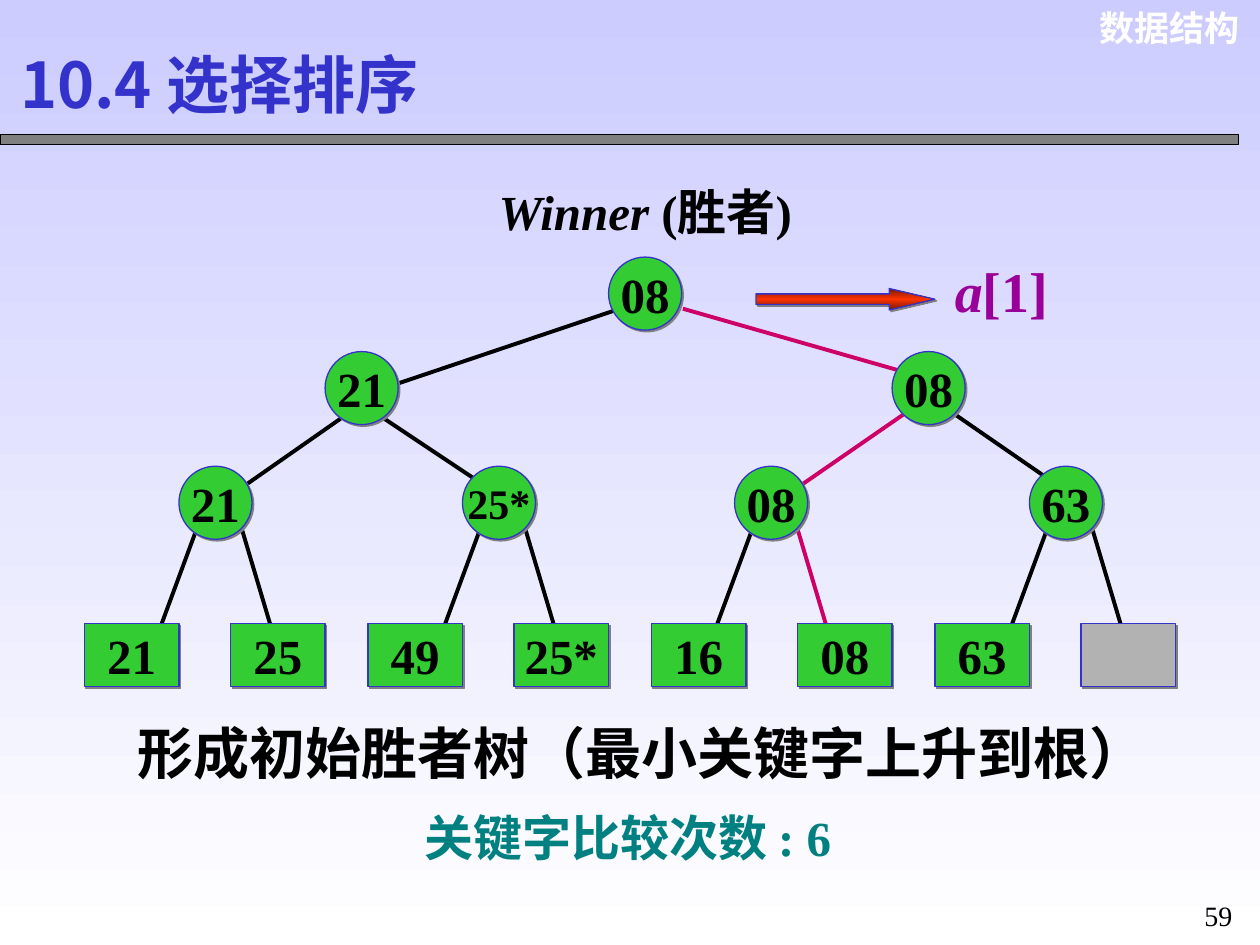
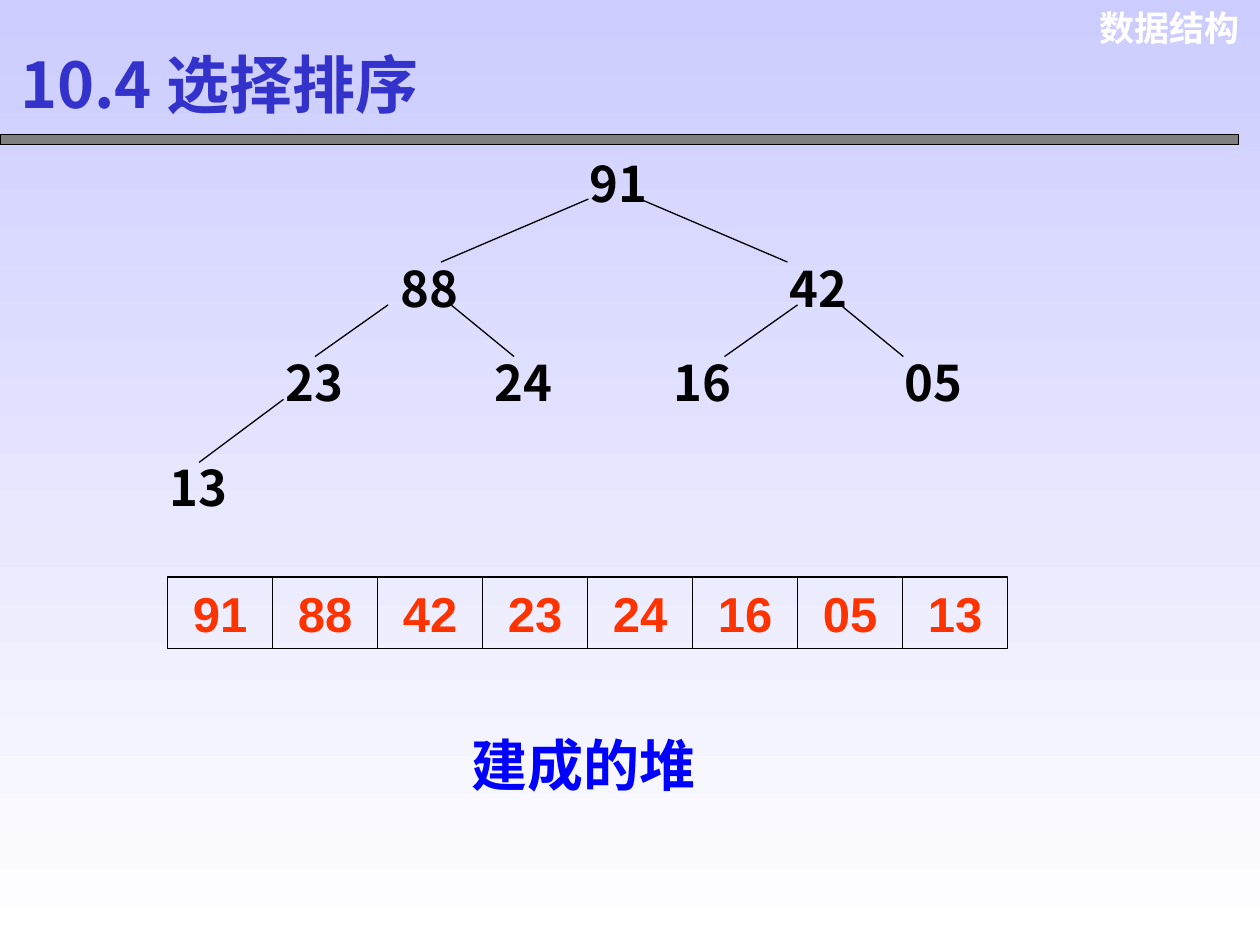
from copy import deepcopy

from lxml.etree import SubElement
from pptx import Presentation
from pptx.dml.color import RGBColor
from pptx.enum.shapes import MSO_CONNECTOR, MSO_SHAPE
from pptx.enum.text import MSO_ANCHOR, MSO_AUTO_SIZE, PP_ALIGN
from pptx.oxml.ns import qn
from pptx.util import Inches, Pt

BLACK = RGBColor(0x00, 0x00, 0x00)
WHITE = RGBColor(0xFF, 0xFF, 0xFF)
LAVENDER = RGBColor(0xCC, 0xCC, 0xFF)
INDIGO = RGBColor(0x33, 0x33, 0xCC)
BLUE = RGBColor(0x00, 0x00, 0xFF)
GREEN = RGBColor(0x33, 0xCC, 0x33)
GRAY = RGBColor(0x80, 0x80, 0x80)
EMPTY_GRAY = RGBColor(0xB2, 0xB2, 0xB2)
MAGENTA = RGBColor(0xCC, 0x00, 0x66)
PURPLE = RGBColor(0x99, 0x00, 0x99)
TEAL = RGBColor(0x00, 0x80, 0x80)
RED = RGBColor(0xFF, 0x33, 0x00)
DARK_RED = RGBColor(0x76, 0x18, 0x00)

SANS = "Noto Sans CJK SC"
SERIF = "Times New Roman"
ARIAL = "Arial"

NODE_SIZE = 0.58
LEAF_TOP, LEAF_W, LEAF_H = 4.95, 0.75, 0.5
PARENT_TOP = 3.7

# Winner tree: (left, top, key, size)
WINNER_NODES = [
    (4.83, 2.04, "08", 28),
    (2.58, 2.79, "21", 28),
    (7.08, 2.79, "08", 28),
]
LEAF_PARENTS = [(1.42, "21", 28), (3.67, "25*", 24), (5.83, "08", 28), (8.17, "63", 28)]
LEAF_KEYS = ["21", "25", "49", "25*", "16", "08", "63", ""]
WINNER_EDGES = [
    ((5.42, 2.45), (7.17, 2.95), MAGENTA),
    ((4.92, 2.45), (3.17, 3.04), BLACK),
    ((7.17, 3.29), (6.33, 3.87), MAGENTA),
    ((7.58, 3.29), (8.42, 3.87), BLACK),
    ((3, 3.29), (3.75, 3.79), BLACK),
    ((2.75, 3.29), (1.92, 3.87), BLACK),
]

# Heap: (left, top, key) in level order
HEAP_NODES = [
    (4.58, 1.17, "91"),
    (3.08, 2, "88"), (6.17, 2, "42"),
    (2.17, 2.75, "23"), (3.83, 2.75, "24"), (5.25, 2.75, "16"), (7.08, 2.75, "05"),
    (1.25, 3.58, "13"),
]
HEAP_EDGES = [
    ((4.67, 1.58), (3.5, 2.08)), ((5.08, 1.58), (6.25, 2.08)),
    ((3.08, 2.42), (2.5, 2.83)), ((3.58, 2.42), (4.08, 2.83)),
    ((6.33, 2.42), (5.75, 2.83)), ((6.67, 2.42), (7.17, 2.83)),
    ((2.25, 3.17), (1.58, 3.67)),
]


def write(tf, runs, align=PP_ALIGN.LEFT, **formats):
    """Fill the first paragraph with (text, extra formats) runs."""
    p = tf.paragraphs[0]
    p.alignment = align
    for text, extra in runs:
        r = p.add_run()
        r.text = text
        values = {"name": SERIF, "size": 28, "bold": True, "color": BLACK, **formats, **extra}
        r.font.color.rgb = values.pop("color")
        values["size"] = Pt(values["size"])
        for name, value in values.items():
            setattr(r.font, name, value)
        SubElement(r._r.get_or_add_rPr(), qn("a:ea"), typeface=SANS)
    return p


def add_text(slide, box, runs, wrap=True, **formats):
    tb = slide.shapes.add_textbox(*map(Inches, box))
    tf = tb.text_frame
    tf.word_wrap = wrap
    tf.auto_size = MSO_AUTO_SIZE.SHAPE_TO_FIT_TEXT
    if isinstance(runs, str):
        runs = [(runs, {})]
    return tf, write(tf, runs, **formats)


def add_box(slide, kind, box, fill=None, line=BLACK):
    sp = slide.shapes.add_shape(kind, *map(Inches, box))
    sp.shadow.inherit = False
    if fill is None:
        sp.fill.background()
    else:
        sp.fill.solid()
        sp.fill.fore_color.rgb = fill
    sp.line.color.rgb = line
    sp.line.width = Pt(0.75)
    return sp


def add_drop_shadow(sp):
    effects = sp._element.spPr.find(qn("a:effectLst"))
    shadow = SubElement(effects, qn("a:outerShdw"), dist=str(Pt(1.4)), dir="2700000",
                        algn="ctr", rotWithShape="0")
    SubElement(shadow, qn("a:srgbClr"), val=str(GRAY))


def add_key_box(slide, kind, box, key, size=28):
    """Tree node or leaf; a leaf without a key is gray."""
    sp = add_box(slide, kind, box, GREEN if key else EMPTY_GRAY, INDIGO)
    add_drop_shadow(sp)
    if key:
        tf = sp.text_frame
        tf.word_wrap = False
        tf.vertical_anchor = MSO_ANCHOR.MIDDLE
        write(tf, [(key, {})], PP_ALIGN.CENTER, size=size)


def add_edge(slide, start, end, color=BLACK, width=0.75):
    cx = slide.shapes.add_connector(MSO_CONNECTOR.STRAIGHT, *map(Inches, start + end))
    cx.line.color.rgb = color
    cx.line.width = Pt(width)
    SubElement(cx._element.spPr, qn("a:effectLst"))


def set_vertical_gradient(fill, stops):
    fill.gradient_angle = 270
    for stop, (position, color) in zip(fill.gradient_stops, stops):
        stop.position = position
        stop.color.rgb = color


def add_output_arrow(slide):
    sp = add_box(slide, MSO_SHAPE.RIGHT_ARROW, (6, 2.29, 1.42, 0.17), RED, INDIGO)
    sp.adjustments[0], sp.adjustments[1] = 0.5, 2.13
    sp.fill.gradient()
    stop_list = sp._element.spPr.find(".//" + qn("a:gsLst"))
    stop_list.insert(1, deepcopy(stop_list[0]))
    set_vertical_gradient(sp.fill, [(0, DARK_RED), (0.5, RED), (1, DARK_RED)])
    add_drop_shadow(sp)


def add_section_slide(prs):
    """Slide with the shared background, header, band and title."""
    slide = prs.slides.add_slide(prs.slide_layouts[5])
    fill = slide.background.fill
    fill.gradient()
    set_vertical_gradient(fill, [(0, LAVENDER), (1, WHITE)])
    add_text(slide, (8.57, 0, 1.37, 0.44), "数据结构", align=PP_ALIGN.RIGHT,
             name=ARIAL, size=20, color=WHITE)
    add_box(slide, MSO_SHAPE.RECTANGLE, (0, 1.07, 9.83, 0.08), GRAY)
    title = slide.shapes.title
    for name, value in zip(("left", "top", "width", "height"), (0.06, 0.29, 3.72, 0.75)):
        setattr(title, name, Inches(value))
    title.text_frame.vertical_anchor = MSO_ANCHOR.MIDDLE
    write(title.text_frame, [("10.4 选择排序", {})], name=SANS, size=36, color=INDIGO)
    return slide


def add_winner_tree(slide):
    for start, end, color in WINNER_EDGES:
        add_edge(slide, start, end, color, 2.25)
    for left, key, _ in LEAF_PARENTS:
        add_edge(slide, (left + 0.17, 4.12), (left - 0.17, 5.04), BLACK, 2.25)
        add_edge(slide, (left + 0.5, 4.2), (left + 0.75, 5.04),
                 MAGENTA if key == "08" else BLACK, 2.25)
    parents = [(left, PARENT_TOP, key, size) for left, key, size in LEAF_PARENTS]
    for left, top, key, size in WINNER_NODES + parents:
        add_key_box(slide, MSO_SHAPE.OVAL, (left, top, NODE_SIZE, NODE_SIZE), key, size)
    for i, key in enumerate(LEAF_KEYS):
        left = 0.67 + i // 2 * 2.25 + i % 2 * 1.16
        add_key_box(slide, MSO_SHAPE.RECTANGLE, (left, LEAF_TOP, LEAF_W, LEAF_H), key)


def build_winner_slide(prs):
    slide = add_section_slide(prs)
    add_winner_tree(slide)
    add_output_arrow(slide)
    add_text(slide, (3.86, 1.39, 2.72, 0.57),
             [("Winner ", {"italic": True}), ("(胜者)", {})], wrap=False)
    add_text(slide, (7.48, 1.99, 0.94, 0.64),
             [("a", {"italic": True}), ("[1]", {})], wrap=False, size=32, color=PURPLE)
    tf, _ = add_text(slide, (0.92, 5.65, 8.49, 0.64),
                     "形成初始胜者树（最小关键字上升到根）", size=32)
    tf.margin_left = Inches(0.17)
    add_text(slide, (3.27, 6.36, 3.72, 0.57), "关键字比较次数 : 6", wrap=False, color=TEAL)
    _, p = add_text(slide, (9.42, 7, 0.5, 0.45), "59", align=PP_ALIGN.CENTER,
                    size=16, bold=False)
    p.line_spacing = 1.3


def build_heap_slide(prs):
    slide = add_section_slide(prs)
    for left, top, key in HEAP_NODES:
        add_text(slide, (left, top, 0.67, 0.57), key, name=SANS)
    for start, end in HEAP_EDGES:
        add_edge(slide, start, end)
    cell_width = 5 / 6
    for i, (_, _, key) in enumerate(HEAP_NODES):
        cell = add_box(slide, MSO_SHAPE.RECTANGLE,
                       (1.33 + i * cell_width, 4.58, cell_width, 0.57))
        write(cell.text_frame, [(key, {})], PP_ALIGN.CENTER, name=ARIAL, color=RED)
    add_text(slide, (3.17, 5.75, 2.92, 0.64), "建成的堆", align=PP_ALIGN.CENTER,
             name=SANS, size=32, color=BLUE)


def main():
    prs = Presentation()
    prs.slide_width, prs.slide_height = Inches(10), Inches(7.5)
    build_winner_slide(prs)
    build_heap_slide(prs)
    prs.save("out.pptx")


if __name__ == "__main__":
    main()
